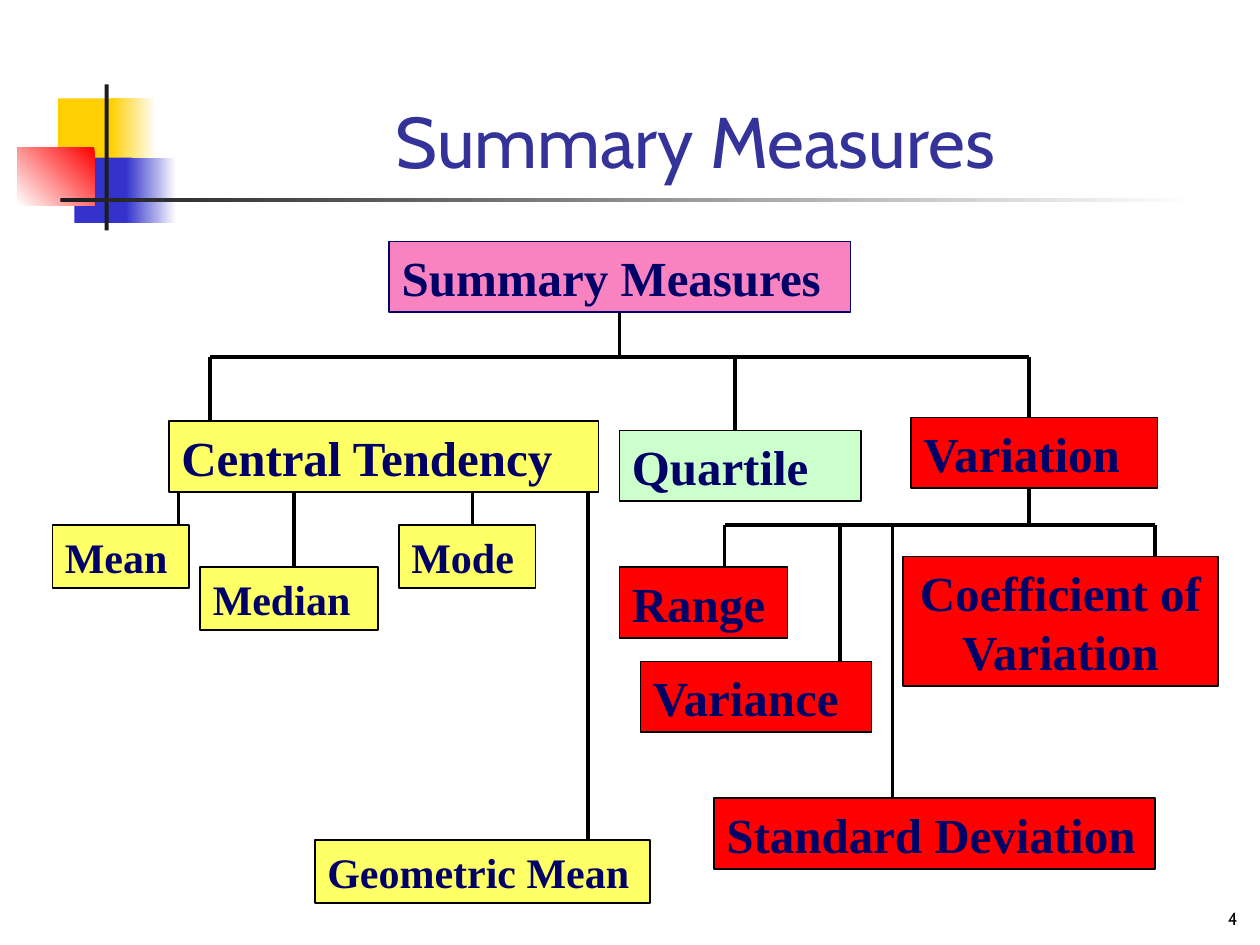
import pptx
import pptx.dml.color
import pptx.enum.shapes
import pptx.enum.text
import pptx.oxml
import pptx.util

THEME = {
    "yellow": "FFCF01", "blue": "3333CC", "red": "FF0000", "charcoal": "1C1C1C",
    "white": "FFFFFF", "black": "000000", "title": "333399", "navy": "000066",
    "lemon": "FFFF66", "mint": "CCFFCC", "pink": "F983C1",
    "display": "Cabin", "body": "Times New Roman",
    "title size": 41, "large": 28, "small": 24, "number size": 10,
}
ALIGN = pptx.enum.text.PP_ALIGN
ANCHOR = pptx.enum.text.MSO_ANCHOR

deck = pptx.Presentation()
deck.slide_width = pptx.util.Inches(10)
deck.slide_height = pptx.util.Inches(7.5)
page = deck.slides.add_slide(deck.slide_layouts[6])
CELL = deck.slide_width / 120  # the grid has 120 columns and 90 rows


def color(name):
    return pptx.dml.color.RGBColor.from_string(THEME[name])


def write(box, text, font, size, ink, align=ALIGN.LEFT, anchor=ANCHOR.TOP, bold=False):
    frame = box.text_frame
    frame.word_wrap = True
    frame.vertical_anchor = anchor
    para = frame.paragraphs[0]
    para.alignment = align
    span = para.add_run()
    span.text = text
    span.font.name = THEME[font]
    span.font.size = pptx.util.Pt(THEME[size])
    span.font.bold = bold
    span.font.color.rgb = color(ink)
    return para


# Corner ornament: grid position, start colour, end colour, gradient angle
ornament = [
    ((5.52, 9.36, 5.76, 6.24), "yellow", None, 0),
    ((10.56, 9.36, 4.32, 6.24), "yellow", "white", 0),
    ((7.08, 15, 5.52, 6.24), "blue", None, 0),
    ((12, 15, 4.8, 6.24), "blue", "white", 0),
    ((1.68, 14.04, 7.32, 5.52), "red", "white", 225),
    ((9.96, 8.04, 0.4, 13.92), "charcoal", None, 0),
    ((5.76, 18.84, 108, 0.4), "charcoal", "white", 0),
]
for place, start, end, angle in ornament:
    block = page.shapes.add_shape(pptx.enum.shapes.MSO_SHAPE.RECTANGLE,
                                  *[round(n * CELL) for n in place])
    block.shadow.inherit = False
    block.line.fill.background()
    if end:
        block.fill.gradient()
        block.fill.gradient_angle = angle
        for stop, name in zip(block.fill.gradient_stops, (start, end)):
            stop.color.rgb = color(name)
    else:
        block.fill.solid()
        block.fill.fore_color.rgb = color(start)

title = page.shapes.add_textbox(*[round(n * CELL) for n in (15.12, 3, 102.24, 15)])
write(title, "Summary Measures", "display", "title size", "title",
      ALIGN.CENTER, ANCHOR.BOTTOM).line_spacing = 1.1

# Tree branches: (column, row) of both ends
crossbars = [(20, 34, 98, 34), (69, 50, 110, 50)]
drops = [
    (59, 29, 34), (20, 34, 41), (70, 34, 41.6), (98, 34, 40.2),
    (17, 46, 50.6), (28, 46.5, 54.6), (45, 46.5, 50), (56, 47, 81),
    (98, 45.8, 50), (69, 50, 54.5), (80, 50, 64), (85, 50, 77), (110, 50, 53.4),
]
for ends in crossbars + [(column, top, column, bottom) for column, top, bottom in drops]:
    branch = page.shapes.add_connector(pptx.enum.shapes.MSO_CONNECTOR.STRAIGHT,
                                       *[round(n * CELL) for n in ends])
    branch.line.color.rgb = color("black")
    branch.line.width = pptx.util.Pt(2.25)
    branch._element.spPr.append(pptx.oxml.parse_xml(
        '<a:effectLst xmlns:a="http://schemas.openxmlformats.org/drawingml/2006/main"/>'))

# Tree boxes: text, column, row, width, fill, type size, number of lines
measures = [
    ("Summary Measures", 37.08, 23, 43.92, "pink", "large", 1),
    ("Central Tendency", 16.08, 40.08, 40.92, "lemon", "large", 1),
    ("Quartile", 59, 41, 23, "mint", "large", 1),
    ("Variation", 86.76, 39.75, 23.5, "red", "large", 1),
    ("Mean", 5, 50, 13, "lemon", "small", 1),
    ("Median", 19.08, 54, 16.92, "lemon", "small", 1),
    ("Mode", 38, 50, 13, "lemon", "small", 1),
    ("Geometric Mean", 30, 80, 31.92, "lemon", "small", 1),
    ("Range", 59, 54, 16, "red", "large", 1),
    ("Variance", 61, 63, 22, "red", "large", 1),
    ("Standard Deviation", 68, 76, 42, "red", "large", 1),
    ("Coefficient of Variation", 86, 53, 30, "red", "large", 2),
]
heights = {("large", 1): 6.75, ("large", 2): 12.36, ("small", 1): 6}
for text, column, row, width, fill, size, lines in measures:
    place = (column, row, width, heights[size, lines])
    box = page.shapes.add_shape(pptx.enum.shapes.MSO_SHAPE.RECTANGLE,
                                *[round(n * CELL) for n in place])
    box.shadow.inherit = False
    box.fill.solid()
    box.fill.fore_color.rgb = color(fill)
    box.line.color.rgb = color("navy" if fill == "pink" else "black")
    box.line.width = pptx.util.Pt(1)
    write(box, text, "body", size, "navy",
          ALIGN.CENTER if lines > 1 else ALIGN.LEFT, bold=True)

number = page.shapes.add_textbox(*[round(n * CELL) for n in (94.08, 82.92, 24.96, 6.12)])
write(number, "4", "display", "number size", "black", ALIGN.RIGHT, ANCHOR.BOTTOM)

deck.save("out.pptx")
